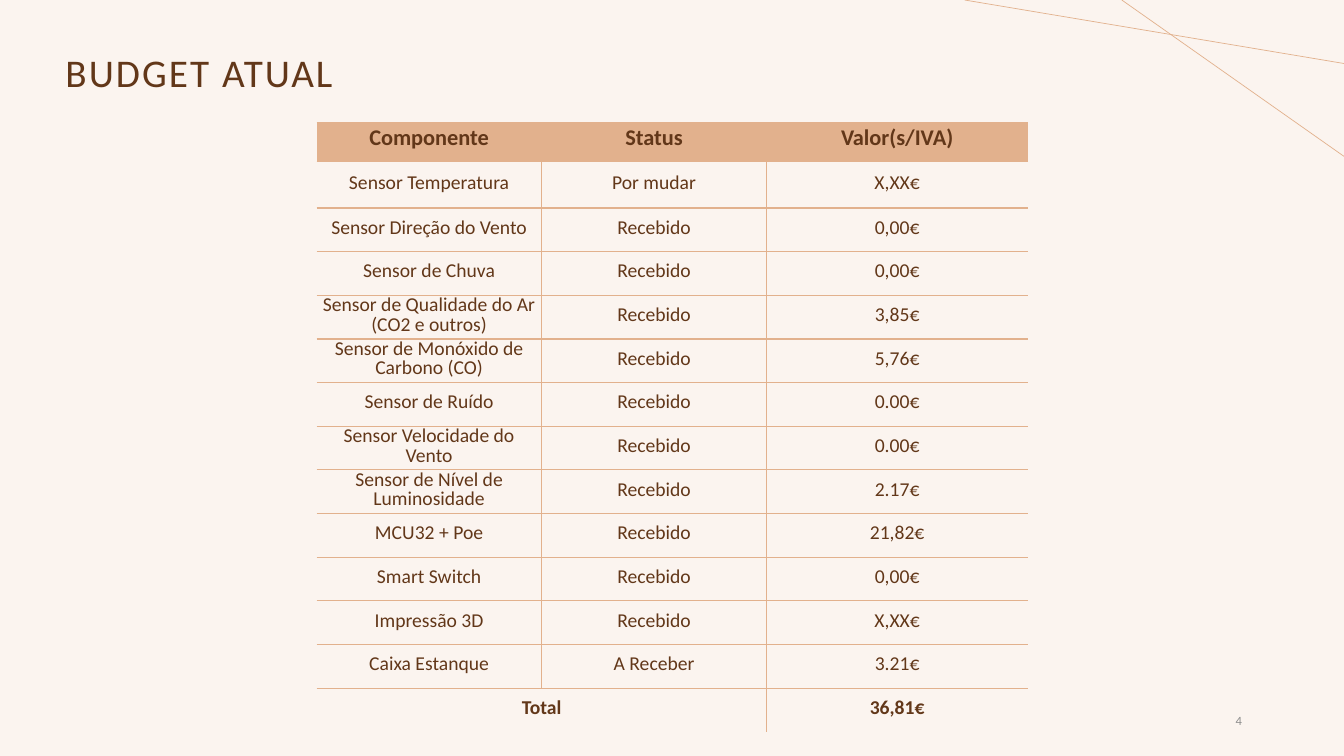
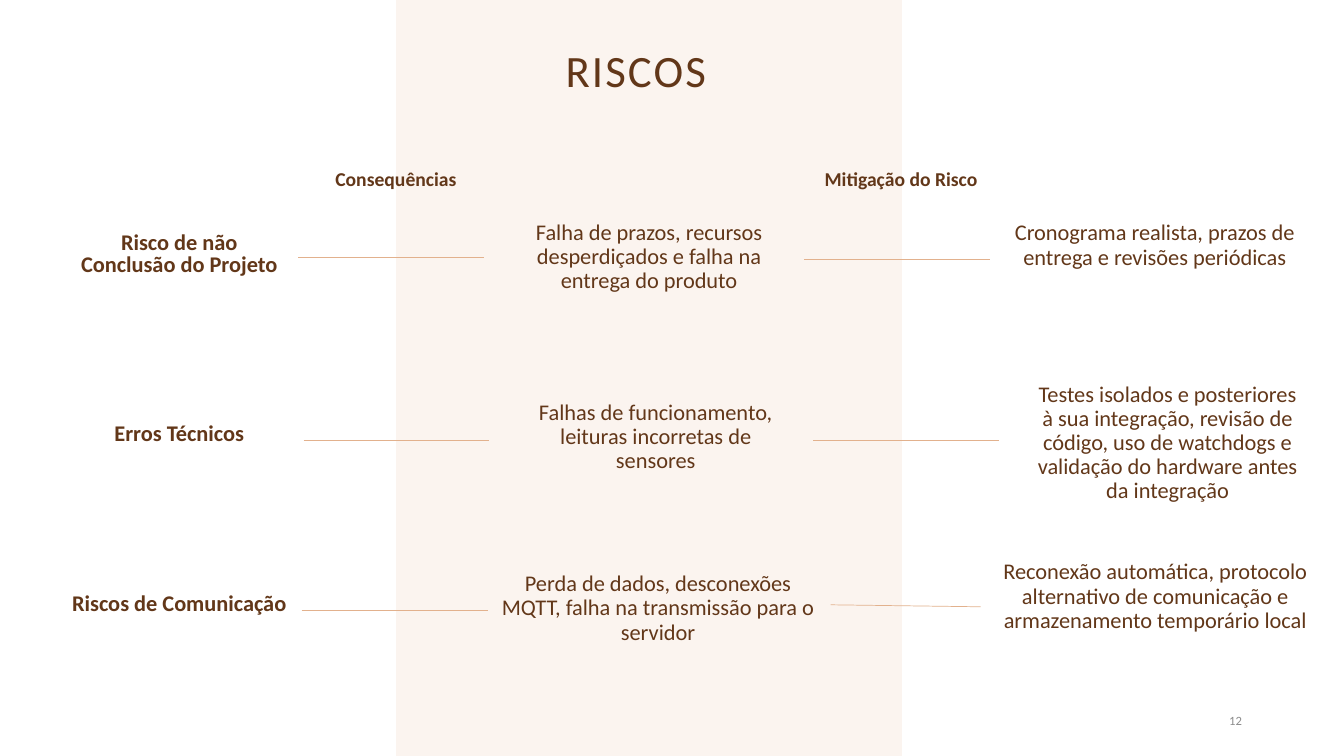
import dataclasses

import lxml.etree
import pptx
import pptx.dml.color
import pptx.enum.shapes
import pptx.enum.text
import pptx.oxml.ns
import pptx.util

Cm = pptx.util.Cm
Pt = pptx.util.Pt
qn = pptx.oxml.ns.qn
ALIGN = pptx.enum.text.PP_ALIGN
ANCHOR = pptx.enum.text.MSO_ANCHOR


@dataclasses.dataclass(frozen=True)
class Theme:
    font: str = "Calibri"
    # Colours
    background: str = "FBF4EF"
    accent: str = "E2B18D"
    ink: str = "623719"
    panel: str = "FFFFFF"
    muted: str = "8C8C8C"
    # Type sizes and line widths in points
    title: int = 28
    title_large: int = 32
    body: int = 16
    small: int = 14
    page_number: int = 9
    tracking: float = 1.5
    line: float = 0.5
    border: float = 1


THEME = Theme()
WIDTH, HEIGHT = 33.87, 19.05


def color(value):
    return pptx.dml.color.RGBColor.from_string(value)


def write(frame, text, *, size=THEME.body, ink=THEME.ink, bold=False,
          align=ALIGN.CENTER, spacing=0.9, after=0, tracking=0):
    """Put one formatted paragraph into a text frame."""
    para = frame.paragraphs[0]
    para.alignment = align
    para.line_spacing = spacing
    para.space_after = Pt(after)
    span = para.add_run()
    span.text = text
    span.font.name = THEME.font
    span.font.size = Pt(size)
    span.font.bold = bold
    span.font.color.rgb = color(ink)
    if tracking:
        span.font._element.set("spc", str(int(tracking * 100)))


class Slides:
    """Holds the style, the deck and the current page."""

    def __init__(self, theme):
        self.theme = theme
        self.deck = pptx.Presentation()
        self.deck.slide_width = Cm(WIDTH)
        self.deck.slide_height = Cm(HEIGHT)
        self.page = None

    def new_page(self, number):
        self.page = self.deck.slides.add_slide(self.deck.slide_layouts[6])
        fill = self.page.background.fill
        fill.solid()
        fill.fore_color.rgb = color(self.theme.background)
        self.text(str(number), 23.93, 17.65, 7.62, 1.02, anchor=ANCHOR.MIDDLE,
                  size=self.theme.page_number, ink=self.theme.muted,
                  align=ALIGN.RIGHT, spacing=1)

    def text(self, text, left, top, width, height, anchor=ANCHOR.TOP, **style):
        box = self.page.shapes.add_textbox(Cm(left), Cm(top), Cm(width), Cm(height))
        box.text_frame.word_wrap = True
        box.text_frame.vertical_anchor = anchor
        write(box.text_frame, text, **style)

    def title(self, text, left, top, width, height, **style):
        self.text(text, left, top, width, height, after=6,
                  tracking=self.theme.tracking, **style)

    def panel(self, left, width):
        panel = self.page.shapes.add_shape(
            pptx.enum.shapes.MSO_SHAPE.RECTANGLE, Cm(left), 0, Cm(width), Cm(HEIGHT))
        panel.shadow.inherit = False
        panel.fill.solid()
        panel.fill.fore_color.rgb = color(self.theme.panel)
        panel.line.color.rgb = color(self.theme.panel)
        panel.line.width = Pt(1)

    def line(self, x1, y1, x2, y2):
        line = self.page.shapes.add_connector(
            pptx.enum.shapes.MSO_CONNECTOR.STRAIGHT, Cm(x1), Cm(y1), Cm(x2), Cm(y2))
        line.line.color.rgb = color(self.theme.accent)
        line.line.width = Pt(self.theme.line)
        lxml.etree.SubElement(line._element.spPr, qn("a:effectLst"))

    def borders(self, cell, edges):
        """Draw the edges flagged true and clear the others."""
        properties = cell._tc.get_or_add_tcPr()
        for name, drawn in edges.items():
            edge = lxml.etree.SubElement(properties, qn(f"a:ln{name}"))
            edge.set("w", str(int(Pt(self.theme.border))))
            if drawn:
                fill = lxml.etree.SubElement(edge, qn("a:solidFill"))
                tint = lxml.etree.SubElement(fill, qn("a:srgbClr"))
                tint.set("val", self.theme.accent)
            else:
                lxml.etree.SubElement(edge, qn("a:noFill"))

    def table(self, rows, left, top, widths, heights):
        """Table with inner rules, a filled header and a merged total label."""
        last_row, last_column = len(rows) - 1, len(widths) - 1
        table = self.page.shapes.add_table(
            len(rows), len(widths), Cm(left), Cm(top),
            Cm(sum(widths)), Cm(sum(heights))).table
        for column, width in zip(table.columns, widths):
            column.width = Cm(width)
        for row, height in zip(table.rows, heights):
            row.height = Cm(height)
        table.cell(last_row, 0).merge(table.cell(last_row, last_column - 1))

        for r, values in enumerate(rows):
            header = r == 0
            for c, value in enumerate(values):
                cell = table.cell(r, c)
                self.borders(cell, {"L": c > 0 and not cell.is_spanned,
                                    "R": c < last_column,
                                    "T": True, "B": r < last_row})
                cell.fill.solid()
                cell.fill.fore_color.rgb = color(
                    self.theme.accent if header else self.theme.background)
                cell.vertical_anchor = ANCHOR.MIDDLE
                cell.margin_left = cell.margin_right = Cm(0.1)
                cell.margin_top = cell.margin_bottom = Cm(0.05)
                if value:
                    write(cell.text_frame, value, spacing=Pt(13.8),
                          size=self.theme.body if header else self.theme.small,
                          bold=header or r == last_row)


BUDGET = [
    ("Componente", "Status", "Valor(s/IVA)"),
    ("Sensor Temperatura", "Por mudar", "X,XX€"),
    ("Sensor Direção do Vento", "Recebido", "0,00€"),
    ("Sensor de Chuva", "Recebido", "0,00€"),
    ("Sensor de Qualidade do Ar (CO2 e outros)", "Recebido", "3,85€"),
    ("Sensor de Monóxido de Carbono (CO)", "Recebido", "5,76€"),
    ("Sensor de Ruído", "Recebido", "0.00€"),
    ("Sensor Velocidade do Vento", "Recebido", "0.00€"),
    ("Sensor de Nível de Luminosidade", "Recebido", "2.17€"),
    ("MCU32 + Poe", "Recebido", "21,82€"),
    ("Smart Switch", "Recebido", "0,00€"),
    ("Impressão 3D", "Recebido", "X,XX€"),
    ("Caixa Estanque", "A Receber", "3.21€"),
    ("Total", "", "36,81€"),
]

# Each risk: name and its top, then (text, box) for consequence and
# mitigation, then the two joining lines
RISKS = [
    ("Risco de não Conclusão do Projeto", 5.72,
     [("Falha de prazos, recursos desperdiçados e falha na entrega do produto",
       (12.88, 5.44, 6.96, 1.96)),
      ("Cronograma realista, prazos de entrega e revisões periódicas",
       (25.17, 5.46, 7.87, 1.93))],
     [(7.52, 6.48, 12.19, 6.48), (20.27, 6.53, 24.94, 6.53)]),
    ("Erros Técnicos", 10.26,
     [("Falhas de funcionamento, leituras incorretas de sensores",
       (13.21, 9.98, 6.63, 2.51)),
      ("Testes isolados e posteriores à sua integração, revisão de código, "
       "uso de watchdogs e validação do hardware antes da integração",
       (25.83, 9.52, 7.19, 3.4))],
     [(7.65, 11.1, 12.32, 11.1), (20.5, 11.1, 25.17, 11.1)]),
    ("Riscos de Comunicação", 14.53,
     [("Perda de dados, desconexões MQTT, falha na transmissão para o servidor",
       (12.32, 14.3, 8.53, 2.82)),
      ("Reconexão automática, protocolo alternativo de comunicação e "
       "armazenamento temporário local",
       (24.82, 14, 8.59, 3.05))],
     [(7.6, 15.39, 12.29, 15.39), (20.93, 15.24, 24.71, 15.29)]),
]


def budget_page(slides):
    slides.new_page(4)
    # Corner lines
    slides.line(28.27, 0, WIDTH, 3.94)
    slides.line(24.31, 0, WIDTH, 1.6)
    slides.title("BUDGET ATUAL", 1.4, 0.91, 17.15, 1.63, anchor=ANCHOR.BOTTOM,
                 size=THEME.title, align=ALIGN.LEFT)
    heights = [0.97, 1.17] + [1.1] * (len(BUDGET) - 2)
    slides.table(BUDGET, 7.98, 3.1, [5.67, 5.67, 6.58], heights)


def risks_page(slides):
    slides.new_page(12)
    # Side panels leave a tinted band in the middle
    slides.panel(0, 9.96)
    slides.panel(22.76, WIDTH - 22.76)
    # The right panel covers the number's place, so number and panel swap order
    tree = slides.page.shapes._spTree
    tree.append(slides.page.shapes[0]._element)
    slides.title("RISCOS", 1.42, 0, 29.21, 3.68, anchor=ANCHOR.MIDDLE,
                 size=THEME.title_large)
    # Column headings
    label = {"width": 5.94, "height": 1.42, "anchor": ANCHOR.MIDDLE, "bold": True}
    for heading, left in (("Consequências", 7.01), ("Mitigação do Risco", 19.74)):
        slides.text(heading, left, 3.84, size=THEME.small, **label)
    # Risks
    for name, top, details, links in RISKS:
        slides.text(name, 1.55, top, spacing=0.8, **label)
        for detail, place in details:
            slides.text(detail, *place)
        for link in links:
            slides.line(*link)


def main():
    slides = Slides(THEME)
    budget_page(slides)
    risks_page(slides)
    slides.deck.save("out.pptx")


if __name__ == "__main__":
    main()
